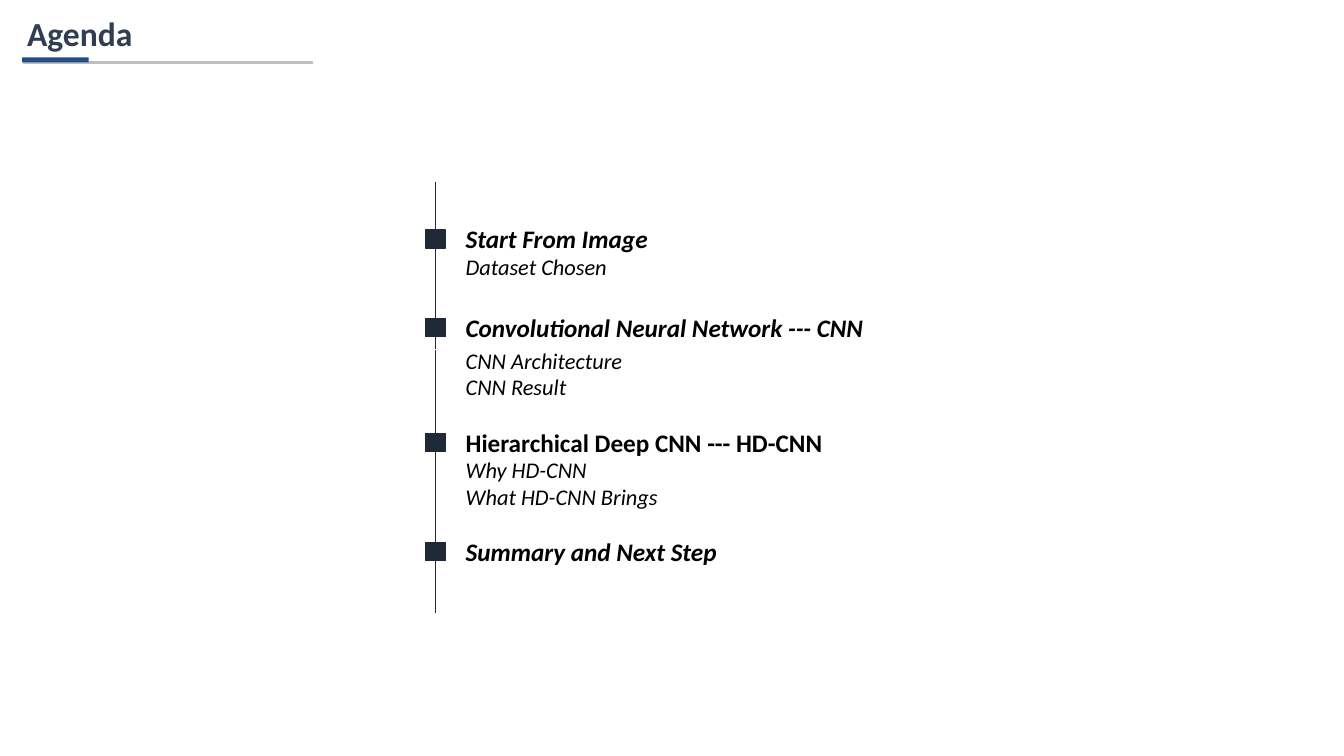
from lxml import etree
from pptx import Presentation
from pptx.dml.color import RGBColor
from pptx.enum.shapes import MSO_CONNECTOR, MSO_SHAPE
from pptx.enum.text import MSO_AUTO_SIZE as AutoSize
from pptx.oxml.ns import qn
from pptx.util import Inches, Pt

NAVY = "202A36"
SPINE_X = 4.32
TEXT_X = 4.52
MARKER_W, MARKER_H = 0.2, 0.18
SEGMENT = 0.83


def rgb(value):
    return RGBColor.from_string(value)


def add_text(s, x, y, w, h, lines, size, color="000000", bold=False,
             italic=False, wrap=True, spacing=None):
    tf = s.shapes.add_textbox(Inches(x), Inches(y), Inches(w), Inches(h)).text_frame
    tf.word_wrap = wrap
    tf.auto_size = AutoSize.SHAPE_TO_FIT_TEXT
    for i, line in enumerate(lines):
        p = tf.paragraphs[0] if i == 0 else tf.add_paragraph()
        p.add_run().text = line
        p.line_spacing = spacing
        font = p.font
        font.name, font.size = "Calibri", Pt(size)
        font.bold, font.italic = bold, italic
        font.color.rgb = rgb(color)


def add_rect(s, x, y, w, h, fill, line_width=None):
    sp = s.shapes.add_shape(MSO_SHAPE.RECTANGLE, Inches(x), Inches(y), Inches(w), Inches(h))
    sp.shadow.inherit = False
    sp.fill.solid()
    sp.fill.fore_color.rgb = rgb(fill)
    if line_width:
        sp.line.color.rgb = rgb(fill)
        sp.line.width = Pt(line_width)
    else:
        sp.line.fill.background()
    return sp


def add_line(s, x1, y1, x2, y2, color, width):
    line = s.shapes.add_connector(
        MSO_CONNECTOR.STRAIGHT, Inches(x1), Inches(y1), Inches(x2), Inches(y2))
    line.line.color.rgb = rgb(color)
    line.line.width = Pt(width)
    etree.SubElement(line._element.spPr, qn("a:effectLst"))
    return line


def add_title(s):
    add_text(s, 0.17, 0, 2.04, 0.56, ["Agenda"], 24, "313D51", bold=True, spacing=1.2)
    add_line(s, 3.1, 0.62, 0.23, 0.62, "BFBFBF", 1.5)
    add_rect(s, 0.22, 0.57, 0.66, 0.05, "244C89")


def add_topic(s, marker_y, heading, italic, details_y, details_w, details):
    marker = add_rect(s, SPINE_X - MARKER_W / 2, marker_y, MARKER_W, MARKER_H, NAVY, 1)
    add_text(s, TEXT_X, marker_y - 0.11, 6.67, 0.4, [heading], 18, bold=True, italic=italic)
    if details:
        add_text(s, TEXT_X, details_y, details_w, 0.1 + 0.27 * len(details),
                 details, 16, italic=True, wrap=False)
    return marker


def main():
    prs = Presentation()
    prs.slide_width, prs.slide_height = Inches(13.33), Inches(7.5)
    s = prs.slides.add_slide(prs.slide_layouts[6])
    add_title(s)
    topics = [
        (2.28, "Start From Image", True, 2.46, 1.62, ["Dataset Chosen"]),
        (3.16, "Convolutional Neural Network --- CNN", True, 3.39, 1.79,
         ["CNN Architecture", "CNN Result"]),
        (4.3, "Hierarchical Deep CNN --- HD-CNN", False, 4.48, 2.19,
         ["Why HD-CNN", "What HD-CNN Brings"]),
        (5.38, "Summary and Next Step", True, 0, 0, []),
    ]
    markers = [add_topic(s, *topic) for topic in topics]
    segments = [add_line(s, SPINE_X, y, SPINE_X, y + SEGMENT, NAVY, 0.5)
                for y in (1.81, 2.63, 3.47, 4.45, 5.25)]
    segments[2].end_connect(markers[2], 0)
    prs.save("out.pptx")


if __name__ == "__main__":
    main()
